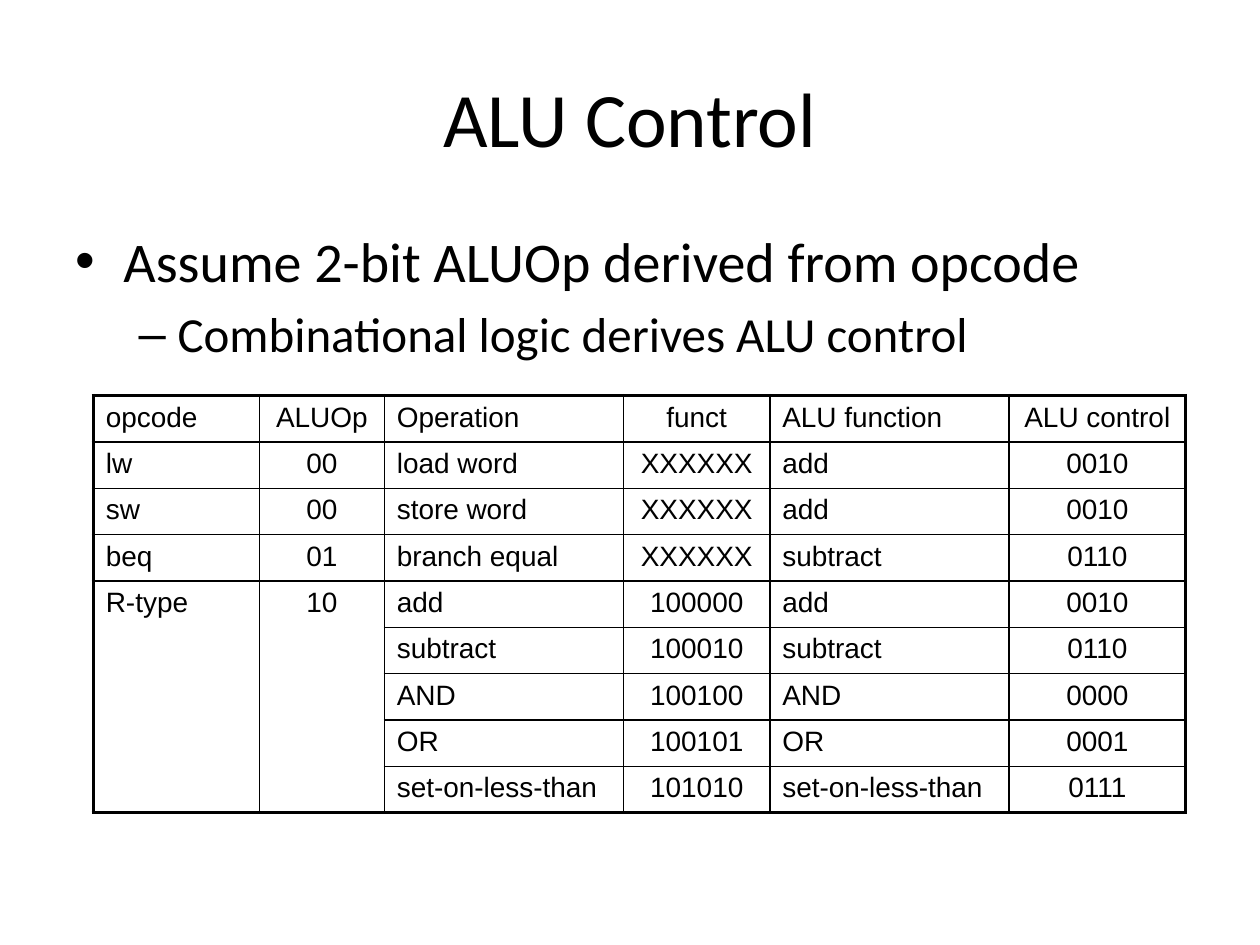
from dataclasses import dataclass

from lxml.etree import SubElement
from pptx import Presentation
from pptx.dml.color import RGBColor
from pptx.enum.text import MSO_ANCHOR as Anchor, PP_ALIGN as Align
from pptx.oxml.ns import qn
from pptx.util import Inches, Pt


@dataclass(frozen=True)
class Theme:
    """Colours, fonts, type sizes and line widths of the deck."""
    ink: str = "000000"
    text_font: str = "Calibri"
    table_font: str = "Arial"
    title_size: int = 44
    body_sizes: tuple = (32, 28)
    table_size: int = 16
    outer_line: float = 2.25
    header_line: float = 1.5
    inner_line: float = 1


THEME = Theme()
BULLETS = (("•", 0.38, -0.38), ("–", 0.81, -0.31))
POINTS = (
    (0, "Assume 2-bit ALUOp derived from opcode"),
    (1, "Combinational logic derives ALU control"),
)
COLUMN_WIDTHS = (1.32, 0.99, 1.9, 1.16, 1.9, 1.4)
CENTRED_COLUMNS = (1, 3, 5)
MERGED_COLUMNS = (0, 1)
R_TYPE_ROW = 4
ROWS = (
    ("opcode", "ALUOp", "Operation", "funct", "ALU function", "ALU control"),
    ("lw", "00", "load word", "XXXXXX", "add", "0010"),
    ("sw", "00", "store word", "XXXXXX", "add", "0010"),
    ("beq", "01", "branch equal", "XXXXXX", "subtract", "0110"),
    ("R-type", "10", "add", "100000", "add", "0010"),
    ("", "", "subtract", "100010", "subtract", "0110"),
    ("", "", "AND", "100100", "AND", "0000"),
    ("", "", "OR", "100101", "OR", "0001"),
    ("", "", "set-on-less-than", "101010", "set-on-less-than", "0111"),
)


def place(shape, box):
    """Move a shape to a box of left, top, width and height in inches."""
    shape.left, shape.top, shape.width, shape.height = map(Inches, box)


def add_span(para, text, font, size):
    """Add one formatted run to a paragraph."""
    span = para.add_run()
    span.text = text
    span.font.name = font
    span.font.size = Pt(size)
    span.font.color.rgb = RGBColor.from_string(THEME.ink)


def set_bullet(para, level):
    """Give a paragraph the indent and bullet of its level."""
    mark, margin, indent = BULLETS[level]
    para.level = level
    props = para._p.get_or_add_pPr()
    props.set("marL", str(Inches(margin)))
    props.set("indent", str(Inches(indent)))
    SubElement(props, qn("a:buFont"), typeface="Arial")
    SubElement(props, qn("a:buChar"), char=mark)


def set_borders(cell, widths):
    """Draw the given cell sides, a mapping of L, R, T, B to points."""
    props = cell._tc.get_or_add_tcPr()
    for side, width in widths.items():
        line = SubElement(props, qn(f"a:ln{side}"), w=str(Pt(width)))
        fill = SubElement(line, qn("a:solidFill"))
        SubElement(fill, qn("a:srgbClr"), val=THEME.ink)


def border_widths(row, column):
    """Work out the line widths around one cell of the table."""
    def edge(at_edge):
        return THEME.outer_line if at_edge else THEME.inner_line

    widths = {
        "L": edge(column == 0),
        "R": edge(column == len(COLUMN_WIDTHS) - 1),
        "T": THEME.header_line if row == 1 else edge(row == 0),
        "B": THEME.header_line if row == 0 else edge(row == len(ROWS) - 1),
    }
    if column in MERGED_COLUMNS and row == R_TYPE_ROW:
        widths["B"] = THEME.outer_line
    return widths


def add_title(page, box):
    """Fill the title placeholder."""
    title = page.shapes.title
    place(title, box)
    title.text_frame.vertical_anchor = Anchor.MIDDLE
    para = title.text_frame.paragraphs[0]
    para.alignment = Align.CENTER
    add_span(para, "ALU Control", THEME.text_font, THEME.title_size)


def add_points(page, box):
    """Fill the body placeholder with the bulleted list."""
    body = page.placeholders[1]
    place(body, box)
    frame = body.text_frame
    for number, (level, text) in enumerate(POINTS):
        para = frame.add_paragraph() if number else frame.paragraphs[0]
        size = THEME.body_sizes[level]
        para.space_before = Pt(0.2 * size if number else 0)
        set_bullet(para, level)
        add_span(para, text, THEME.text_font, size)


def add_control_table(page, box):
    """Add the table that maps opcodes to ALU control codes."""
    frame = page.shapes.add_table(len(ROWS), len(COLUMN_WIDTHS), *map(Inches, box))
    table = frame.table
    table.first_row = table.horz_banding = False
    for column, width in zip(table.columns, COLUMN_WIDTHS):
        column.width = Inches(width)
    for row in table.rows:
        row.height = Inches(box[3] / len(ROWS))
    for column in MERGED_COLUMNS:
        table.cell(R_TYPE_ROW, column).merge(table.cell(len(ROWS) - 1, column))
    for row, texts in enumerate(ROWS):
        for column, text in enumerate(texts):
            cell = table.cell(row, column)
            set_borders(cell, border_widths(row, column))
            cell.fill.background()
            if text:
                para = cell.text_frame.paragraphs[0]
                centred = column in CENTRED_COLUMNS
                para.alignment = Align.CENTER if centred else Align.LEFT
                add_span(para, text, THEME.table_font, THEME.table_size)


def main():
    """Build and save the deck."""
    deck = Presentation()
    deck.slide_width, deck.slide_height = Inches(10), Inches(7.5)
    page = deck.slides.add_slide(deck.slide_layouts[1])
    add_title(page, (0.5, 0.3, 9, 1.25))
    add_points(page, (0.5, 1.75, 9, 4.95))
    add_control_table(page, (0.74, 3.14, 8.66, 3.31))
    deck.save("out.pptx")


if __name__ == "__main__":
    main()
